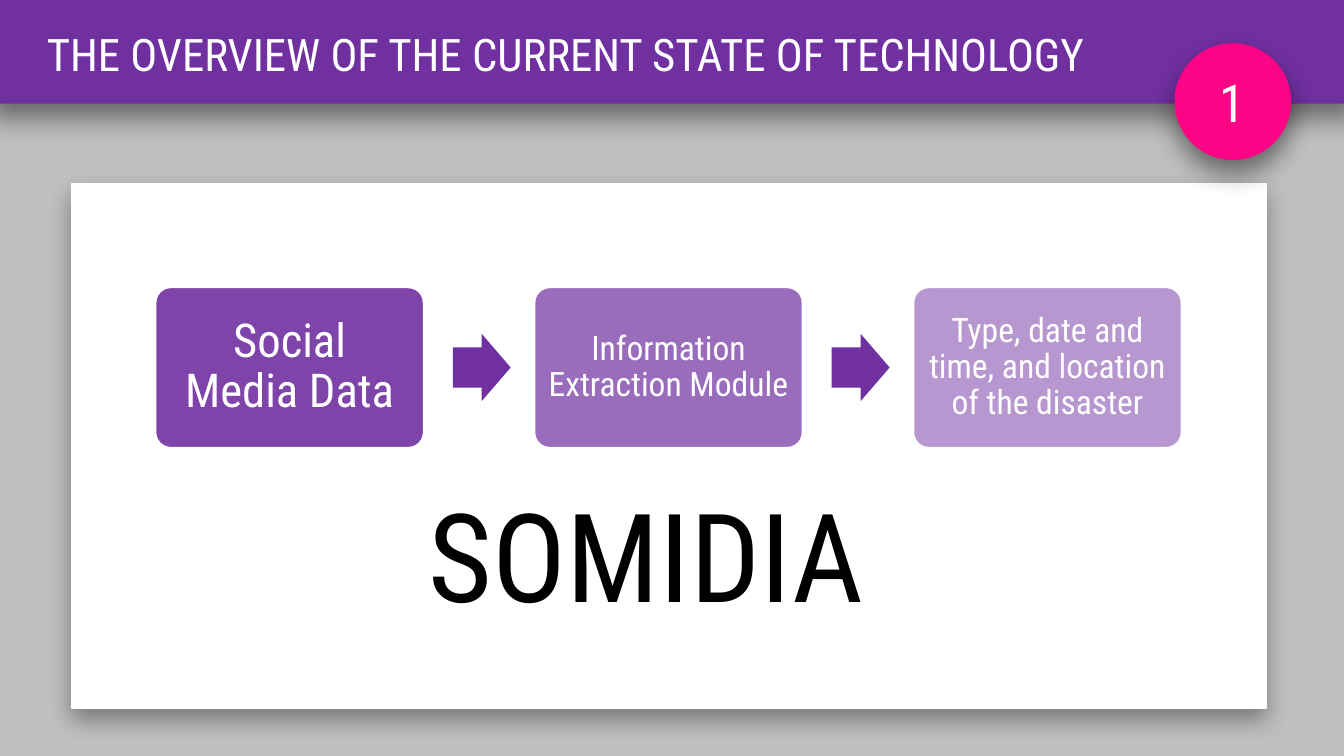
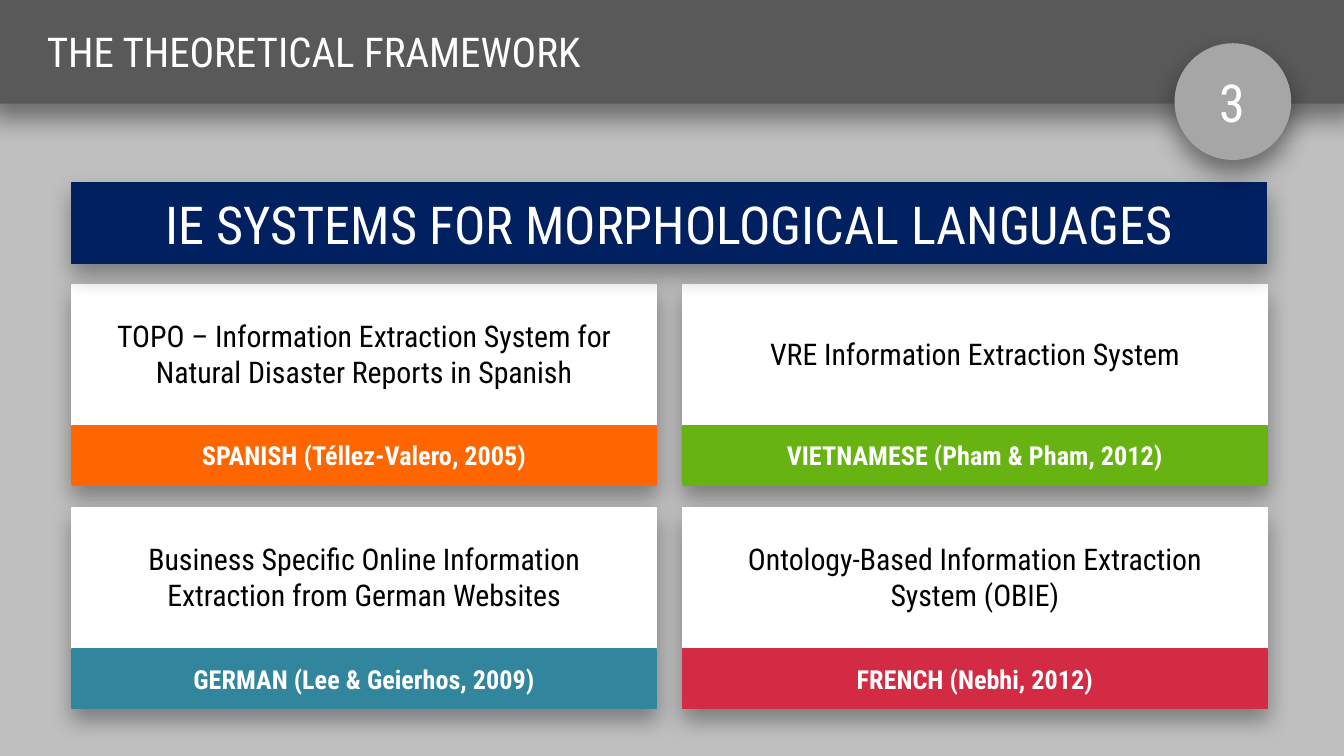
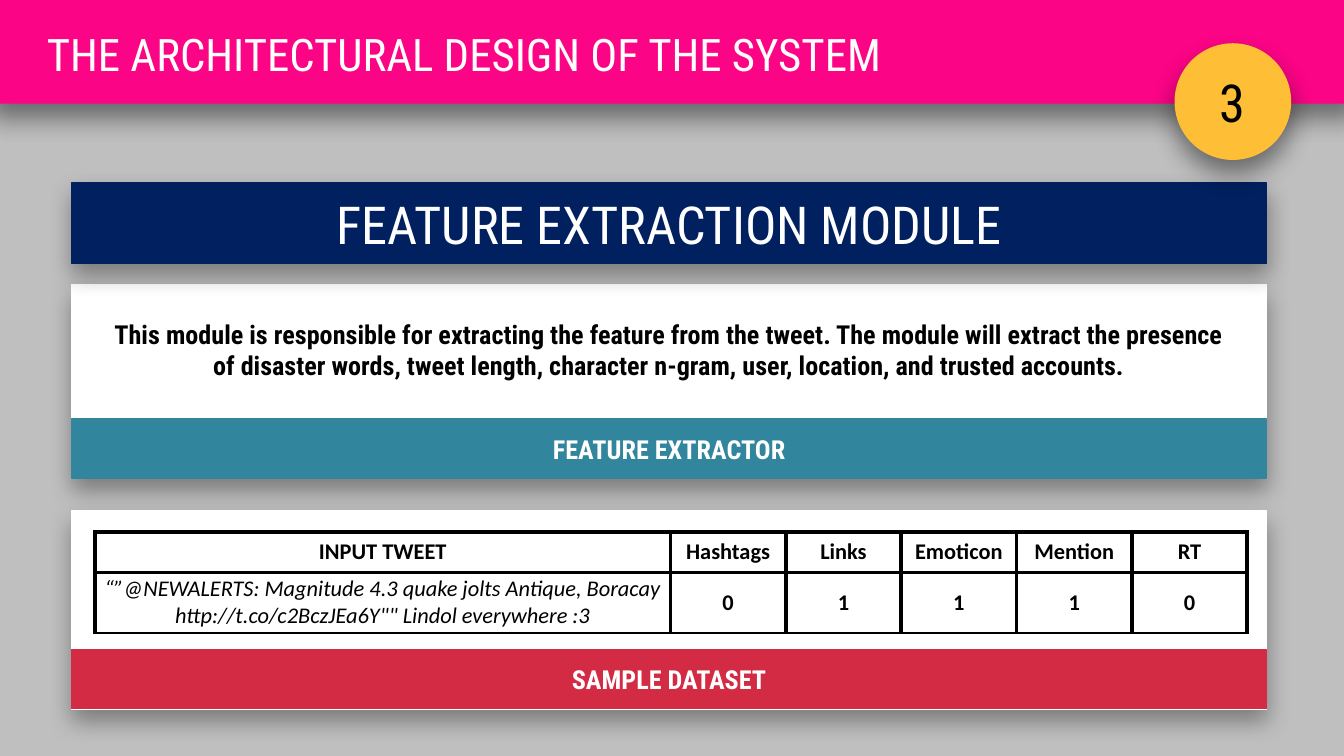
from lxml.etree import SubElement
from pptx import Presentation
from pptx.dml.color import RGBColor
from pptx.enum.shapes import MSO_SHAPE
from pptx.enum.text import MSO_ANCHOR, PP_ALIGN
from pptx.oxml.ns import qn
from pptx.util import Pt

FONT = "Roboto Condensed"
TABLE_FONT = "Calibri"
WHITE, BLACK, GRAY = "FFFFFF", "000000", "BFBFBF"
PURPLE, PINK, NAVY = "7030A0", "FC0486", "002060"
TEAL, RED, ORANGE, GREEN = "31859C", "D32B44", "FF6600", "67B312"
SOFT_SHADOW = (35, 12, 6)
DEEP_SHADOW = (45, 14, 7)
LEFT, WIDE = 38.5, 640
LABEL_H = 31.7


def rgb(value):
    return RGBColor.from_string(value)


def add_slide(prs):
    s = prs.slides.add_slide(prs.slide_layouts[6])
    s.background.fill.solid()
    s.background.fill.fore_color.rgb = rgb(GRAY)
    return s


def add_shadow(sp, opacity, blur, dist):
    effects = sp._element.spPr.find(qn("a:effectLst"))
    outer = SubElement(effects, qn("a:outerShdw"), blurRad=str(Pt(blur)),
                       dist=str(Pt(dist)), dir="5400000", algn="t", rotWithShape="0")
    color = SubElement(outer, qn("a:srgbClr"), val=BLACK)
    SubElement(color, qn("a:alpha"), val=str(opacity * 1000))


def add_box(s, kind, x, y, w, h, fill, line=None, line_w=0.75, shadow=None, opacity=None):
    sp = s.shapes.add_shape(kind, Pt(x), Pt(y), Pt(w), Pt(h))
    sp.shadow.inherit = False
    sp.fill.solid()
    sp.fill.fore_color.rgb = rgb(fill)
    if opacity:
        color = sp._element.spPr.find(qn("a:solidFill"))[0]
        SubElement(color, qn("a:alpha"), val=str(opacity * 1000))
    if line:
        sp.line.color.rgb = rgb(line)
        sp.line.width = Pt(line_w)
    else:
        sp.line.fill.background()
    if shadow:
        add_shadow(sp, *shadow)
    return sp


def add_rect(s, x, y, w, h, fill, shadow=None):
    return add_box(s, MSO_SHAPE.RECTANGLE, x, y, w, h, fill, fill, shadow=shadow)


def style_paragraph(p, size, color, bold=False, align=PP_ALIGN.CENTER, font=FONT):
    p.alignment = align
    p.font.name = font
    p.font.size = Pt(size)
    p.font.bold = bold
    p.font.color.rgb = rgb(color)


def set_text(sp, text, size, color=WHITE, bold=False,
             align=PP_ALIGN.CENTER, anchor=MSO_ANCHOR.MIDDLE):
    tf = sp.text_frame
    tf.word_wrap = True
    tf.vertical_anchor = anchor
    p = tf.paragraphs[0]
    p.text = text
    style_paragraph(p, size, color, bold, align)
    return tf


def add_header(s, title, number, band, circle, title_size=24, number_color=WHITE):
    add_box(s, MSO_SHAPE.RECTANGLE, -6, -70.5, 732, 126, band, shadow=DEEP_SHADOW)
    sp = add_box(s, MSO_SHAPE.RECTANGLE, 18, 10.8, 577, 36, band)
    set_text(sp, title, title_size, align=PP_ALIGN.LEFT, anchor=MSO_ANCHOR.TOP)
    sp = add_box(s, MSO_SHAPE.OVAL, 629.2, 23.2, 62.5, 62.5, circle, shadow=DEEP_SHADOW)
    tf = set_text(sp, number, 28, number_color)
    tf.margin_left = tf.margin_right = Pt(7.2)


def add_banner(s, text):
    sp = add_rect(s, LEFT, 98, WIDE, 43.2, NAVY, SOFT_SHADOW)
    set_text(sp, text, 28)


def add_card(s, x, y, w, h, label, color):
    add_rect(s, x, y, w, h, WHITE, SOFT_SHADOW)
    sp = add_rect(s, x, y + h - LABEL_H, w, LABEL_H, color)
    set_text(sp, label, 14, bold=True)


def add_card_text(s, x, y, w, h, pad, text, size, bold=False):
    sp = add_rect(s, x + pad, y + 8, w - 2 * pad, h - 50, WHITE)
    set_text(sp, text, size, BLACK, bold)


def add_flow(s, steps):
    left, top, w, h, pitch = 82.8, 153.4, 144.7, 87, 203
    for i, (text, size, margin, opacity) in enumerate(steps):
        x = left + i * pitch
        sp = add_box(s, MSO_SHAPE.ROUNDED_RECTANGLE, x, top, w, h, PURPLE,
                     WHITE, 2, opacity=opacity)
        sp.adjustments[0] = 0.1
        tf = set_text(sp, text, size)
        tf.margin_left = tf.margin_right = Pt(margin)
        tf.margin_top = tf.margin_bottom = Pt(margin)
        tf.paragraphs[0].line_spacing = 0.9
        if i < len(steps) - 1:
            sp = add_box(s, MSO_SHAPE.RIGHT_ARROW, x + 159.8, top + h / 2 - 18, 31, 36, PURPLE)
            sp.adjustments[0] = 0.6


def set_borders(cell, **widths):
    tcPr = cell._tc.get_or_add_tcPr()
    for side in "LRTB":
        ln = SubElement(tcPr, qn("a:ln" + side), w=str(Pt(widths[side])))
        fill = SubElement(ln, qn("a:solidFill"))
        SubElement(fill, qn("a:srgbClr"), val=BLACK)


def add_sample_table(s, rows):
    thin, thick = 1.5, 2.25
    widths = [308.2] + [61.8] * 5
    heights = [21.6, 32.4]
    table = s.shapes.add_table(len(rows), len(widths), Pt(51), Pt(285),
                               Pt(sum(widths)), Pt(sum(heights))).table
    table.first_row = table.horz_banding = False
    for column, w in zip(table.columns, widths):
        column.width = Pt(w)
    for i, (row, h) in enumerate(zip(rows, heights)):
        table.rows[i].height = Pt(h)
        for j, text in enumerate(row):
            cell = table.cell(i, j)
            set_borders(cell, L=thin if j == 1 else thick, R=thin if j == 0 else thick,
                        T=thin if i else thick, B=thin)
            cell.fill.background()
            cell.vertical_anchor = MSO_ANCHOR.MIDDLE
            if i:
                cell.margin_left = cell.margin_right = Pt(5)
                cell.margin_top = cell.margin_bottom = 0
            is_tweet = i > 0 and j == 0
            p = cell.text_frame.paragraphs[0]
            p.text = text
            style_paragraph(p, 12, BLACK, not is_tweet, font=TABLE_FONT)
            p.font.italic = is_tweet


def build_overview(prs):
    s = add_slide(prs)
    add_rect(s, LEFT, 98.5, WIDE, 280.8, WHITE, SOFT_SHADOW)
    add_header(s, "THE OVERVIEW OF THE CURRENT STATE OF TECHNOLOGY", "1", PURPLE, PINK)
    add_flow(s, [
        ("Social Media Data", 25, 7.2, 90),
        ("Information Extraction Module", 18, 5, 70),
        ("Type, date and time, and location of the disaster", 18, 5, 50),
    ])
    sp = s.shapes.add_textbox(Pt(149.8), Pt(253.4), Pt(392.4), Pt(87))
    set_text(sp, "SOMIDIA", 66, BLACK, anchor=MSO_ANCHOR.TOP)


def build_framework(prs):
    s = add_slide(prs)
    systems = [
        ("TOPO – Information Extraction System for Natural Disaster Reports in Spanish",
         "SPANISH (Téllez-Valero, 2005)", ORANGE),
        ("VRE Information Extraction System", "VIETNAMESE (Pham & Pham, 2012)", GREEN),
        ("Business Specific Online Information Extraction from German Websites",
         "GERMAN (Lee & Geierhos, 2009)", TEAL),
        ("Ontology-Based Information Extraction System (OBIE)", "FRENCH (Nebhi, 2012)", RED),
    ]
    w, h = 313.2, 107.3
    for i, (text, label, color) in enumerate(systems):
        row, col = divmod(i, 2)
        x, y = LEFT + col * 327.2, 152.6 + row * 119.6
        add_card(s, x, y, w, h, label, color)
        add_card_text(s, x, y, w, h, 7, text, 16)
    add_banner(s, "IE SYSTEMS FOR MORPHOLOGICAL LANGUAGES")
    add_header(s, "THE THEORETICAL FRAMEWORK", "3", "595959", "A6A6A6", title_size=22)


def build_architecture(prs):
    s = add_slide(prs)
    extractor = (LEFT, 152.6, WIDE, 103.7)
    add_card(s, *extractor, "FEATURE EXTRACTOR", TEAL)
    add_card_text(s, *extractor, 14,
                  "This module is responsible for extracting the feature from the tweet. "
                  "The module will extract the presence of disaster words, tweet length, "
                  "character n-gram, user, location, and trusted accounts.", 14, bold=True)
    add_card(s, LEFT, 273.8, WIDE, 106, "SAMPLE DATASET", RED)
    add_sample_table(s, [
        ["INPUT TWEET", "Hashtags", "Links", "Emoticon", "Mention", "RT"],
        ["“”@NEWALERTS: Magnitude 4.3 quake jolts Antique, Boracay "
         "http://t.co/c2BczJEa6Y\"\" Lindol everywhere :3", "0", "1", "1", "1", "0"],
    ])
    add_banner(s, "FEATURE EXTRACTION MODULE")
    add_header(s, "THE ARCHITECTURAL DESIGN OF THE SYSTEM", "3", PINK, "FEBE35",
               number_color=BLACK)


def main():
    prs = Presentation()
    prs.slide_width, prs.slide_height = Pt(720), Pt(405)
    build_overview(prs)
    build_framework(prs)
    build_architecture(prs)
    prs.save("out.pptx")


if __name__ == "__main__":
    main()
